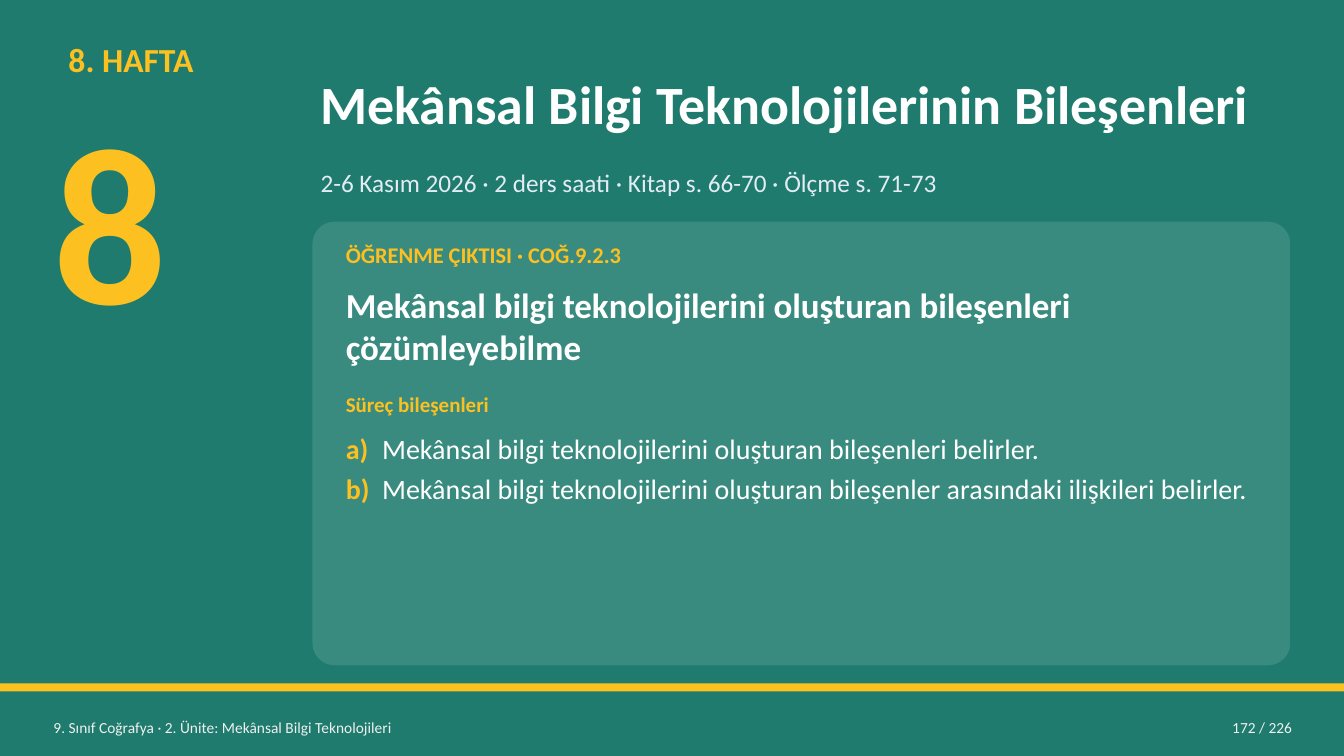
from lxml import etree
from pptx import Presentation
from pptx import util as u
from pptx.dml.color import RGBColor
from pptx.enum import shapes, text
from pptx.oxml.ns import qn

COLORS = {
    "green": "1E7B6E",
    "yellow": "FCC021",
    "white": "FFFFFF",
    "pale": "E3ECF5",
    "footer": "F0F0F0",
}
FONT = "Calibri"
LEFT, RIGHT = text.PP_ALIGN.LEFT, text.PP_ALIGN.RIGHT
TOP, MIDDLE = text.MSO_ANCHOR.TOP, text.MSO_ANCHOR.MIDDLE


def add_span(para, words, *, size, color="white", bold=False):
    span = para.add_run()
    span.text = words
    span.font.name = FONT
    span.font.size = u.Pt(size)
    span.font.bold = bold
    span.font.color.rgb = RGBColor.from_string(COLORS[color])


class WeekSlide:
    """Places elements by left, top, width and height in percent of the slide."""

    def __init__(self, deck):
        self.deck = deck
        self.page = deck.slides.add_slide(deck.slide_layouts[5])
        self.paint(self.page.background.fill, "green")

    def paint(self, fill, color):
        fill.solid()
        fill.fore_color.rgb = RGBColor.from_string(COLORS[color])

    def area(self, left, top, width, height):
        across, down = self.deck.slide_width / 100, self.deck.slide_height / 100
        return [u.Emu(round(share * unit)) for share, unit in
                zip((left, top, width, height), (across, down, across, down))]

    def format_frame(self, frame, anchor=TOP, pad=0.04):
        frame.word_wrap = True
        frame.auto_size = text.MSO_AUTO_SIZE.NONE
        frame.vertical_anchor = anchor
        frame.margin_left = frame.margin_right = u.Inches(0.08)
        frame.margin_top = frame.margin_bottom = u.Inches(pad)
        return frame

    def title(self, place, words, **style):
        box = self.page.shapes.title
        box.left, box.top, box.width, box.height = self.area(*place)
        para = self.format_frame(box.text_frame, MIDDLE).paragraphs[0]
        para.alignment = LEFT
        add_span(para, words, **style)

    def frame(self, place, **layout):
        box = self.page.shapes.add_textbox(*self.area(*place))
        return self.format_frame(box.text_frame, **layout)

    def label(self, place, words, *, align=LEFT, anchor=TOP, pad=0.04, **style):
        para = self.frame(place, anchor=anchor, pad=pad).paragraphs[0]
        para.alignment = align
        add_span(para, words, **style)

    def panel(self, place, color, *, rounding=None, opacity=None):
        kind = shapes.MSO_SHAPE.RECTANGLE
        if rounding is not None:
            kind = shapes.MSO_SHAPE.ROUNDED_RECTANGLE
        shape = self.page.shapes.add_shape(kind, *self.area(*place))
        shape.shadow.inherit = False
        shape.line.fill.background()
        self.paint(shape.fill, color)
        if rounding is not None:
            shape.adjustments[0] = rounding
        if opacity is not None:
            tint = shape.fill._xPr.find(".//" + qn("a:srgbClr"))
            etree.SubElement(tint, qn("a:alpha"), val=str(opacity * 1000))

    def lettered_list(self, place, items, *, size, indent, gap):
        frame = self.frame(place)
        for index, (letter, words) in enumerate(items):
            para = frame.paragraphs[0] if index == 0 else frame.add_paragraph()
            hang = u.Inches(indent)
            props = para._p.get_or_add_pPr()
            props.set("marL", str(hang))
            props.set("indent", str(-hang))
            if index < len(items) - 1:
                para.space_after = u.Pt(gap)
            add_span(para, letter + "\t", size=size, color="yellow", bold=True)
            add_span(para, words, size=size)


def main():
    deck = Presentation()
    deck.slide_width, deck.slide_height = u.Inches(13.333), u.Inches(7.5)
    week = WeekSlide(deck)

    # Footer rule
    week.panel((0, 90.4, 100, 1.07), "yellow")

    # Week number
    week.label((4.5, 4.67, 19.5, 7.33), "8. HAFTA",
               size=24, color="yellow", bold=True)
    week.label((3.38, 10.67, 19.5, 36.67), "8",
               pad=0, size=160, color="yellow", bold=True)

    # Heading
    week.title((23.25, 6, 72.75, 15.33),
               "Mekânsal Bilgi Teknolojilerinin Bileşenleri",
               size=38.5, bold=True)
    week.label((23.25, 21.6, 72.75, 6),
               "2-6 Kasım 2026 · 2 ders saati · Kitap s. 66-70 · Ölçme s. 71-73",
               size=18, color="pale")

    # Learning outcome card
    week.panel((23.25, 29.33, 72.75, 58.67), "white", rounding=0.05, opacity=12)
    card_left, card_width = 25.13, 69
    for top, height, words, size, color in (
        (31.33, 5.33, "ÖĞRENME ÇIKTISI · COĞ.9.2.3", 16, "yellow"),
        (36.93, 12.67, "Mekânsal bilgi teknolojilerini oluşturan bileşenleri "
                       "çözümleyebilme", 25, "white"),
        (51.2, 5.07, "Süreç bileşenleri", 15, "yellow"),
    ):
        week.label((card_left, top, card_width, height), words,
                   size=size, color=color, bold=True)
    week.lettered_list(
        (card_left, 56.53, card_width, 29.73),
        [("a)", "Mekânsal bilgi teknolojilerini oluşturan bileşenleri belirler."),
         ("b)", "Mekânsal bilgi teknolojilerini oluşturan bileşenler "
                "arasındaki ilişkileri belirler.")],
        size=20, indent=0.36, gap=5)

    # Footer
    footer = dict(anchor=MIDDLE, size=11, color="footer")
    week.label((3.38, 93.87, 57, 4.8),
               "9. Sınıf Coğrafya · 2. Ünite: Mekânsal Bilgi Teknolojileri",
               **footer)
    week.label((84.75, 93.87, 12, 4.8), "172 / 226", align=RIGHT, **footer)

    deck.save("out.pptx")


if __name__ == "__main__":
    main()
